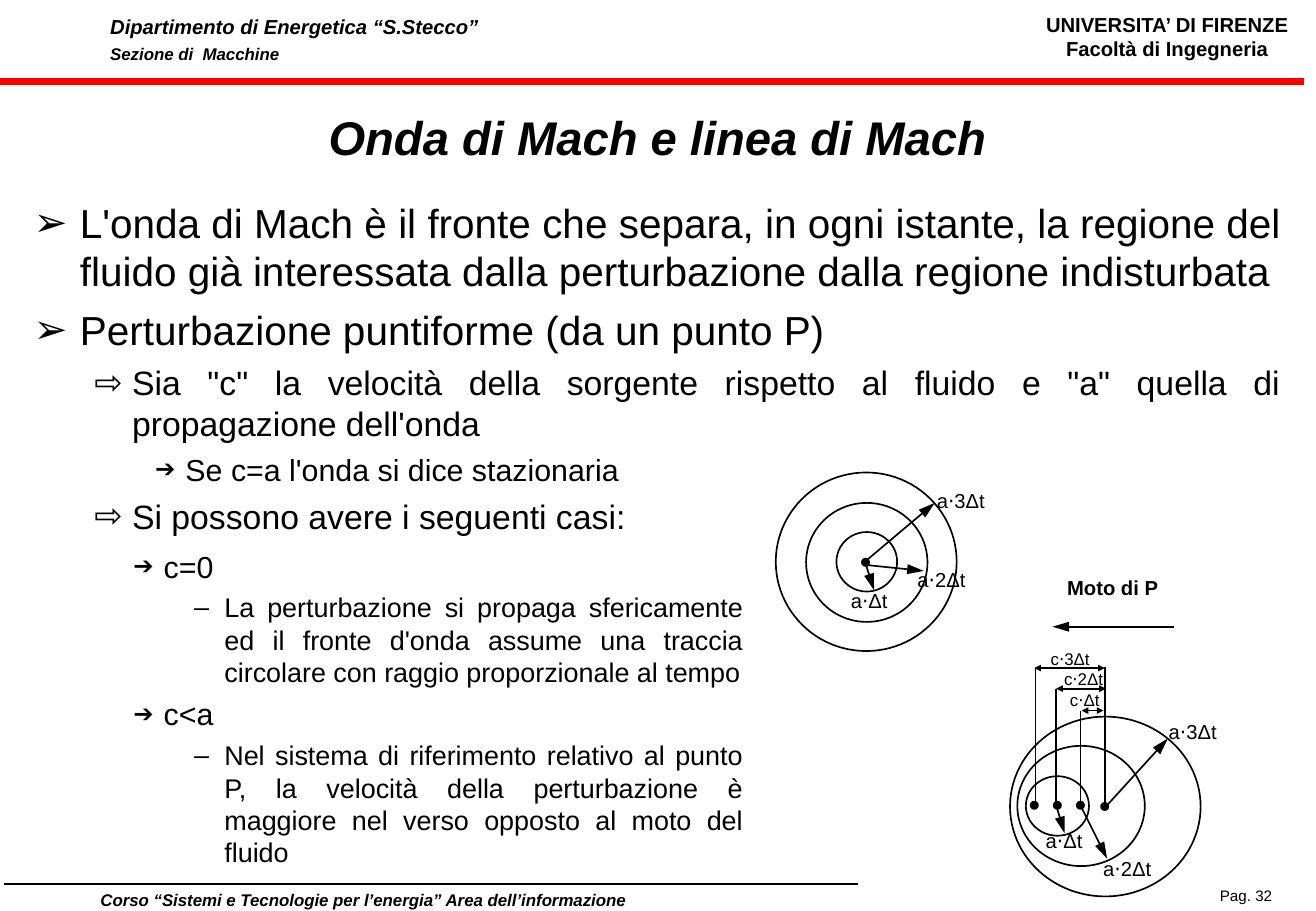
from lxml.etree import SubElement
from pptx import Presentation
from pptx.dml.color import RGBColor
from pptx.enum.shapes import MSO_CONNECTOR, MSO_SHAPE
from pptx.enum.text import MSO_ANCHOR, PP_ALIGN
from pptx.oxml.ns import qn
from pptx.util import Inches, Pt

BLACK, RED = "000000", "FF0000"

deck = Presentation()
deck.slide_width, deck.slide_height = Inches(10.84), Inches(7.5)
page = deck.slides.add_slide(deck.slide_layouts[6])


def add_text(at, lines, align=PP_ALIGN.CENTER, bold=False, italic=False, spacing=None, wrap=True):
    """Add a text box from (text, size) lines and return its frame."""
    box = page.shapes.add_textbox(*[Inches(length) for length in at])
    frame = box.text_frame
    frame.word_wrap = wrap
    for index, (text, size) in enumerate(lines):
        para = frame.paragraphs[0] if index == 0 else frame.add_paragraph()
        para.text = text
        para.alignment = align
        para.line_spacing = spacing
        para.font.name, para.font.size = "Arial", Pt(size)
        para.font.bold, para.font.italic = bold, italic
        para.font.color.rgb = RGBColor.from_string(BLACK)
    return frame


def add_line(start, end, color=BLACK, width=1, ends=(), head=("med", "lg")):
    """Add a line; ends lists the arrowhead tags, head their width and length."""
    points = [Inches(length) for length in (*start, *end)]
    line = page.shapes.add_connector(MSO_CONNECTOR.STRAIGHT, *points)
    line.line.color.rgb = RGBColor.from_string(color)
    line.line.width = Pt(width)
    for tag in ends:
        SubElement(line.line._get_or_add_ln(), qn(tag), type="triangle", w=head[0], len=head[1])
    SubElement(line._element.spPr, qn("a:effectLst"))


# Header and footer
add_text((8.5, 0.05, 2.23, 0.5), [("UNIVERSITA’ DI FIRENZE", 12), ("Facoltà di Ingegneria", 12)],
         bold=True, wrap=False)
add_text((0.81, 0.06, 3.66, 0.51),
         [("Dipartimento di Energetica “S.Stecco”", 12), ("Sezione di  Macchine", 10)],
         PP_ALIGN.LEFT, bold=True, italic=True, spacing=Pt(15))
add_line((0, 0.67), (10.74, 0.67), RED, 4.5)
add_line((0.03, 7.28), (7.07, 7.28))
add_text((0, 7.23, 5.98, 0.31),
         [("Corso “Sistemi e Tecnologie per l’energia” Area dell’informazione", 10)],
         bold=True, italic=True, spacing=Pt(15))
add_text((9.95, 7.25, 1.17, 0.25), [("Pag. 32", 9)], PP_ALIGN.LEFT)

# Title
title = add_text((0.81, 0.75, 9.21, 0.75), [("Onda di Mach e linea di Mach", 28)],
                 bold=True, italic=True)
title.vertical_anchor = MSO_ANCHOR.MIDDLE

# Bulleted text: size, left margin, hanging indent, space before, bullet, bullet size
levels = [
    (24, 0.38, 0.38, 6, "➢", 100),
    (20, 0.81, 0.31, 5, "⇨", 100),
    (18, 1.25, 0.25, 4.5, "➔", 80),
    (16, 1.75, 0.25, 4, "–", 100),
]
definitions = [
    (0, "L'onda di Mach è il fronte che separa, in ogni istante, la regione del fluido "
        "già interessata dalla perturbazione dalla regione indisturbata"),
    (0, "Perturbazione puntiforme (da un punto P)"),
    (1, "Sia \"c\" la velocità della sorgente rispetto al fluido e \"a\" quella di "
        "propagazione dell'onda"),
    (2, "Se c=a l'onda si dice stazionaria"),
    (1, "Si possono avere i seguenti casi:"),
]
cases = [
    (2, "c=0"),
    (3, "La perturbazione si propaga sfericamente ed il fronte d'onda assume una traccia "
        "circolare con raggio proporzionale al tempo"),
    (2, "c<a"),
    (3, "Nel sistema di riferimento relativo al punto P, la velocità della perturbazione è "
        "maggiore nel verso opposto al moto del fluido"),
]
for at, items in [((0.18, 1.58, 10.47, 5.67), definitions), ((0, 4.46, 6.22, 3.15), cases)]:
    frame = add_text(at, [(text, levels[level][0]) for level, text in items], PP_ALIGN.JUSTIFY)
    for para, (level, text) in zip(frame.paragraphs, items):
        size, margin, hang, before, bullet, scale = levels[level]
        para.level = level
        para.space_before = Pt(before)
        props = para._p.get_or_add_pPr()
        props.set("marL", str(Inches(margin)))
        props.set("indent", str(-Inches(hang)))
        SubElement(SubElement(props, qn("a:buClr")), qn("a:srgbClr"), val=BLACK)
        SubElement(props, qn("a:buSzPct"), val=str(scale * 1000))
        SubElement(props, qn("a:buFont"), typeface="Arial")
        SubElement(props, qn("a:buChar"), char=bullet)

# Wave fronts (outlined) and source positions (filled dots)
fronts = [
    (6.89, 4.38, 0.5, 0.49), (6.64, 4.14, 1, 0.98), (6.39, 3.89, 1.49, 1.47),
    (8.45, 6.39, 0.52, 0.49), (8.38, 6.14, 1.05, 0.99), (8.32, 5.9, 1.57, 1.48),
]
sources = [(x, y, 0.06, 0.06)
           for x, y in [(7.1, 4.6), (9.07, 6.61), (8.87, 6.6), (8.68, 6.6), (8.49, 6.6)]]
for at in fronts + sources:
    circle = page.shapes.add_shape(MSO_SHAPE.OVAL, *[Inches(length) for length in at])
    circle.shadow.inherit = False
    circle.line.color.rgb = RGBColor.from_string(BLACK)
    circle.line.width = Pt(1)
    if at in sources:
        circle.fill.solid()
        circle.fill.fore_color.rgb = RGBColor.from_string(BLACK)
    else:
        circle.fill.background()

# Radius arrows and the direction of motion
arrows = [
    ((7.13, 4.62), (7.7, 4.14)), ((7.12, 4.65), (7.61, 4.7)), ((7.13, 4.64), (7.2, 4.86)),
    ((9.11, 6.64), (9.62, 6.08)), ((8.9, 6.63), (9.12, 7.07)), ((8.7, 6.63), (8.77, 6.86)),
    ((9.67, 5.16), (8.67, 5.16)),
]
for start, end in arrows:
    add_line(start, end, ends=["a:tailEnd"])

# Distances covered by the source
for x, top in [(9.1, 5.49), (8.9, 5.85), (8.7, 5.67), (8.53, 5.5)]:
    add_line((x, 6.63), (x, top))
for left, right, y in [(8.91, 9.09, 5.85), (8.7, 9.11, 5.67), (8.52, 9.1, 5.5)]:
    add_line((left, y), (right, y), ends=["a:headEnd", "a:tailEnd"], head=("sm", "sm"))

# Labels
labels = [
    ("a⋅Δt", 6.89, 4.79, 0.54, 12), ("a⋅2Δt", 7.42, 4.62, 0.67, 12),
    ("a⋅3Δt", 7.58, 3.97, 0.67, 12), ("a⋅Δt", 8.49, 6.77, 0.55, 12),
    ("a⋅2Δt", 8.95, 7, 0.67, 12), ("a⋅3Δt", 9.49, 5.87, 0.67, 12),
    ("c⋅3Δt", 8.48, 5.29, 0.67, 10), ("c⋅2Δt", 8.59, 5.46, 0.67, 10),
    ("c⋅Δt", 8.6, 5.63, 0.67, 10),
]
for text, left, top, width, size in labels:
    add_text((left, top, width, 0.3), [(text, size)])
add_text((8.69, 4.69, 0.95, 0.3), [("Moto di P", 12)], bold=True, wrap=False)

deck.save("out.pptx")
